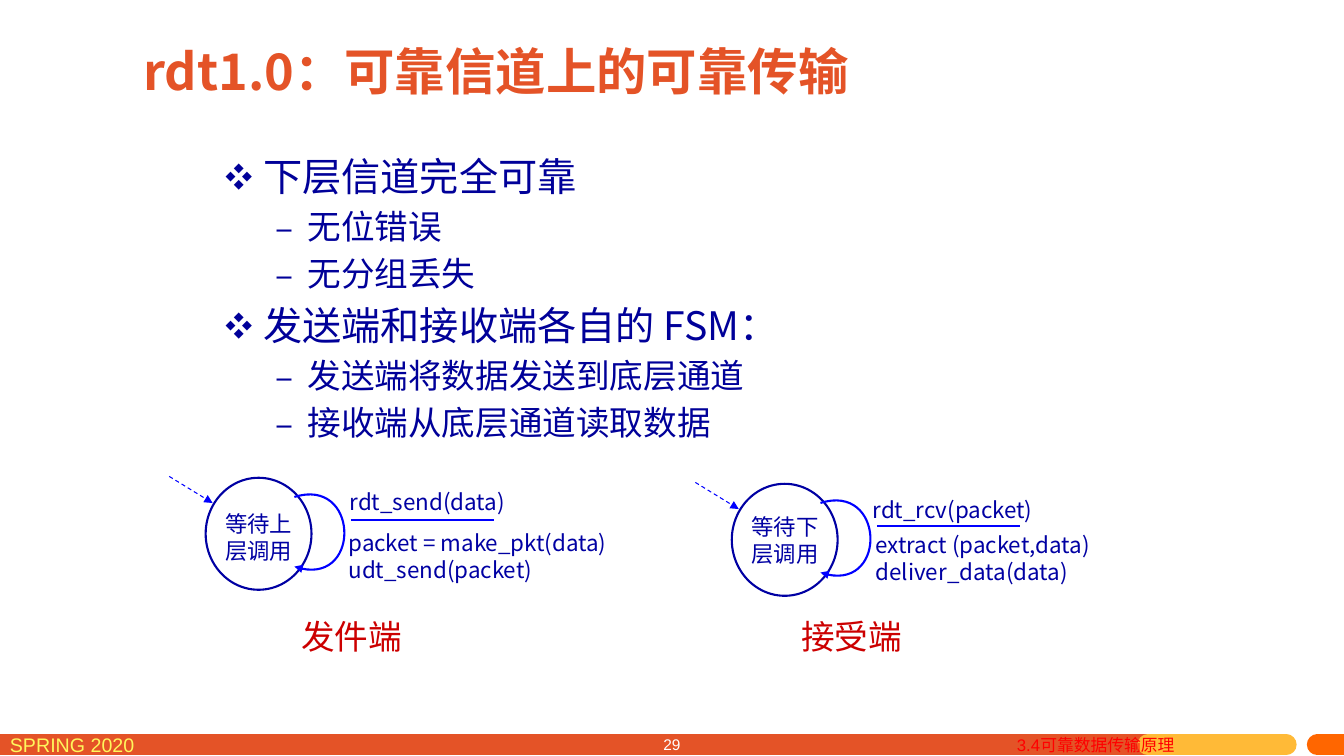
from lxml.etree import SubElement
from pptx import Presentation
from pptx.dml.color import RGBColor
from pptx.enum.dml import MSO_LINE
from pptx.enum.shapes import MSO_CONNECTOR, MSO_SHAPE
from pptx.enum.text import MSO_ANCHOR, PP_ALIGN
from pptx.oxml.ns import qn
from pptx.util import Pt

WHITE = RGBColor(0xFF, 0xFF, 0xFF)
ORANGE_RED = RGBColor(0xE4, 0x53, 0x27)
AMBER = RGBColor(0xFF, 0xBA, 0x37)
ORANGE = RGBColor(0xFF, 0x66, 0x00)
YELLOW = RGBColor(0xFF, 0xF6, 0x5C)
NAVY = RGBColor(0x00, 0x00, 0x99)
STATE_BLUE = RGBColor(0x00, 0x00, 0xA3)
BLUE = RGBColor(0x00, 0x00, 0xFF)
DARK_RED = RGBColor(0xCC, 0x00, 0x00)
RED = RGBColor(0xFF, 0x00, 0x00)
CJK_FONT = "Noto Sans CJK SC"


def format_paragraph(para, size, color, name=CJK_FONT, bold=False,
                     align=PP_ALIGN.LEFT):
    para.alignment = align
    if name == CJK_FONT:
        para.line_spacing = Pt(size * 1.2)
    font = para.font
    font.name, font.size, font.bold = name, Pt(size), bold
    font.color.rgb = color
    defaults = para._p.pPr.find(qn("a:defRPr"))
    latin = defaults.find(qn("a:latin"))
    east_asian = SubElement(defaults, qn("a:ea"), typeface=CJK_FONT)
    latin.addnext(east_asian)


def add_text(page, left, top, width, height, lines, size, color, wrap=True,
             **style):
    box = page.shapes.add_textbox(Pt(left), Pt(top), Pt(width), Pt(height))
    frame = box.text_frame
    frame.word_wrap = wrap
    frame.text = "\n".join(lines)
    for para in frame.paragraphs:
        format_paragraph(para, size, color, **style)
    return frame


def add_line(page, left, top, right, bottom, color, width):
    line = page.shapes.add_connector(
        MSO_CONNECTOR.STRAIGHT, Pt(left), Pt(top), Pt(right), Pt(bottom))
    line.line.color.rgb = color
    line.line.width = Pt(width)
    SubElement(line._element.spPr, qn("a:effectLst"))
    return line


def add_arrowhead(shape):
    SubElement(shape.line._get_or_add_ln(), qn("a:tailEnd"), type="triangle")


def add_title(page, left, top, width, height):
    title = page.shapes.title
    title.left, title.top = Pt(left), Pt(top)
    title.width, title.height = Pt(width), Pt(height)
    frame = title.text_frame
    frame.text = "rdt1.0：可靠信道上的可靠传输"
    frame.word_wrap = False
    frame.vertical_anchor = MSO_ANCHOR.MIDDLE
    format_paragraph(frame.paragraphs[0], 36, ORANGE_RED, bold=True,
                     align=PP_ALIGN.CENTER)


def add_outline(page, left, top, width, height):
    # Each level: size, left margin, hanging indent, bullet, bullet size
    levels = ((28, 27, 27, "❖", 70), (24, 58.5, 22.5, "–", 100))
    entries = (
        (0, "下层信道完全可靠"),
        (1, "无位错误"),
        (1, "无分组丢失"),
        (0, "发送端和接收端各自的 FSM："),
        (1, "发送端将数据发送到底层通道"),
        (1, "接收端从底层通道读取数据"),
    )
    frame = add_text(page, left, top, width, height,
                     [words for _, words in entries], 28, NAVY)
    for para, (level, _) in zip(frame.paragraphs, entries):
        size, margin, hanging, bullet, percent = levels[level]
        para.level = level
        para.font.size = Pt(size)
        para.line_spacing = Pt(size * 1.2)
        para.space_before = Pt(size * 0.2)
        properties = para._p.pPr
        properties.set("marL", str(Pt(margin)))
        properties.set("indent", str(-Pt(hanging)))
        defaults = properties.find(qn("a:defRPr"))
        for tag, key, value in (("a:buSzPct", "val", str(percent * 1000)),
                                ("a:buFont", "typeface", CJK_FONT),
                                ("a:buChar", "char", bullet)):
            defaults.addprevious(
                SubElement(properties, qn(tag), {key: value}))


def add_loop(page, left, top):
    """Curved transition that leaves a state and returns to it."""
    builder = page.shapes.build_freeform(Pt(left), Pt(top))
    builder.add_line_segments(
        [(Pt(left + x), Pt(top + y))
         for x, y in ((45.4, -14.4), (48.2, 66.2), (0, 49.7))], close=False)
    loop = builder.convert_to_shape()
    # Turn the three segments into one cubic curve
    segments = list(loop._element.iter(qn("a:lnTo")))
    curve = SubElement(segments[0].getparent(), qn("a:cubicBezTo"))
    for segment in segments:
        curve.append(segment[0])
        segment.getparent().remove(segment)
    loop.shadow.inherit = False
    loop.fill.background()
    loop.line.color.rgb = BLUE
    loop.line.width = Pt(1.5)
    add_arrowhead(loop)


def add_machine(page, left, top, state, state_top, event, event_at,
                actions, actions_at, caption, caption_at):
    # State
    circle = page.shapes.add_shape(
        MSO_SHAPE.OVAL, Pt(left), Pt(top), Pt(75.6), Pt(80))
    circle.shadow.inherit = False
    circle.fill.solid()
    circle.fill.fore_color.rgb = WHITE
    circle.line.color.rgb = STATE_BLUE
    circle.line.width = Pt(1.5)
    add_text(page, left - 5, top + state_top, 86, 72, state, 16, STATE_BLUE,
             align=PP_ALIGN.CENTER)

    # Transitions
    add_loop(page, left + 63.4, top + 13.7)
    entry = add_line(page, left - 26, top - 1, left + 5, top + 18, BLUE, 0.75)
    entry.line.dash_style = MSO_LINE.DASH
    add_arrowhead(entry)

    # Event above the rule, actions below it, caption underneath
    add_line(page, left + 103.7, top + 30.2, left + 206, top + 30.2, BLUE, 1.5)
    for lines, (x, y), width, height, size, color in (
            ([event], event_at, 178, 27, 16, STATE_BLUE),
            (actions, actions_at, 211, 46, 16, STATE_BLUE),
            ([caption], caption_at, 87, 36, 24, DARK_RED)):
        add_text(page, left + x, top + y, width, height, lines, size, color)


def add_footer(page, top):
    middle = top + 3
    add_line(page, 0, middle, 820, middle, ORANGE_RED, 15)
    for start, end, color in ((820, 918.7, AMBER), (941, 960, ORANGE)):
        bar = add_line(page, start, middle, end, middle, color, 15)
        bar.line._get_or_add_ln().set("cap", "rnd")
    add_text(page, 0, top - 9.2, 165, 22, ["SPRING 2020"], 14, YELLOW,
             name="Arial")
    number = add_text(page, 306.7, top - 2, 186.5, 13, ["29"], 11, WHITE,
                      name="Arial", align=PP_ALIGN.RIGHT)
    number.vertical_anchor = MSO_ANCHOR.MIDDLE
    number.margin_top = 0
    add_text(page, 719.3, top - 7.7, 217, 22, ["3.4可靠数据传输原理"], 12, RED,
             name="Arial")


def main():
    deck = Presentation()
    deck.slide_width, deck.slide_height = Pt(960), Pt(540)
    page = deck.slides.add_slide(deck.slide_layouts[5])
    add_footer(page, 529)
    add_title(page, 90, 10.8, 528.5, 79.2)
    add_outline(page, 154, 105, 622, 238)
    add_machine(page, 146.9, 341.3, ["等待上", "层调用"], 19.5,
                "rdt_send(data)", (95.8, 3.6),
                ["packet = make_pkt(data)", "udt_send(packet)"], (95, 33),
                "发件端", (61.2, 95))
    add_machine(page, 522.7, 345.6, ["等待下", "层调用"], 17.3,
                "rdt_rcv(packet)", (93.6, 5),
                ["extract (packet,data)", "deliver_data(data)"], (95.8, 30.2),
                "接受端", (42.5, 90.7))
    deck.save("out.pptx")


if __name__ == "__main__":
    main()
